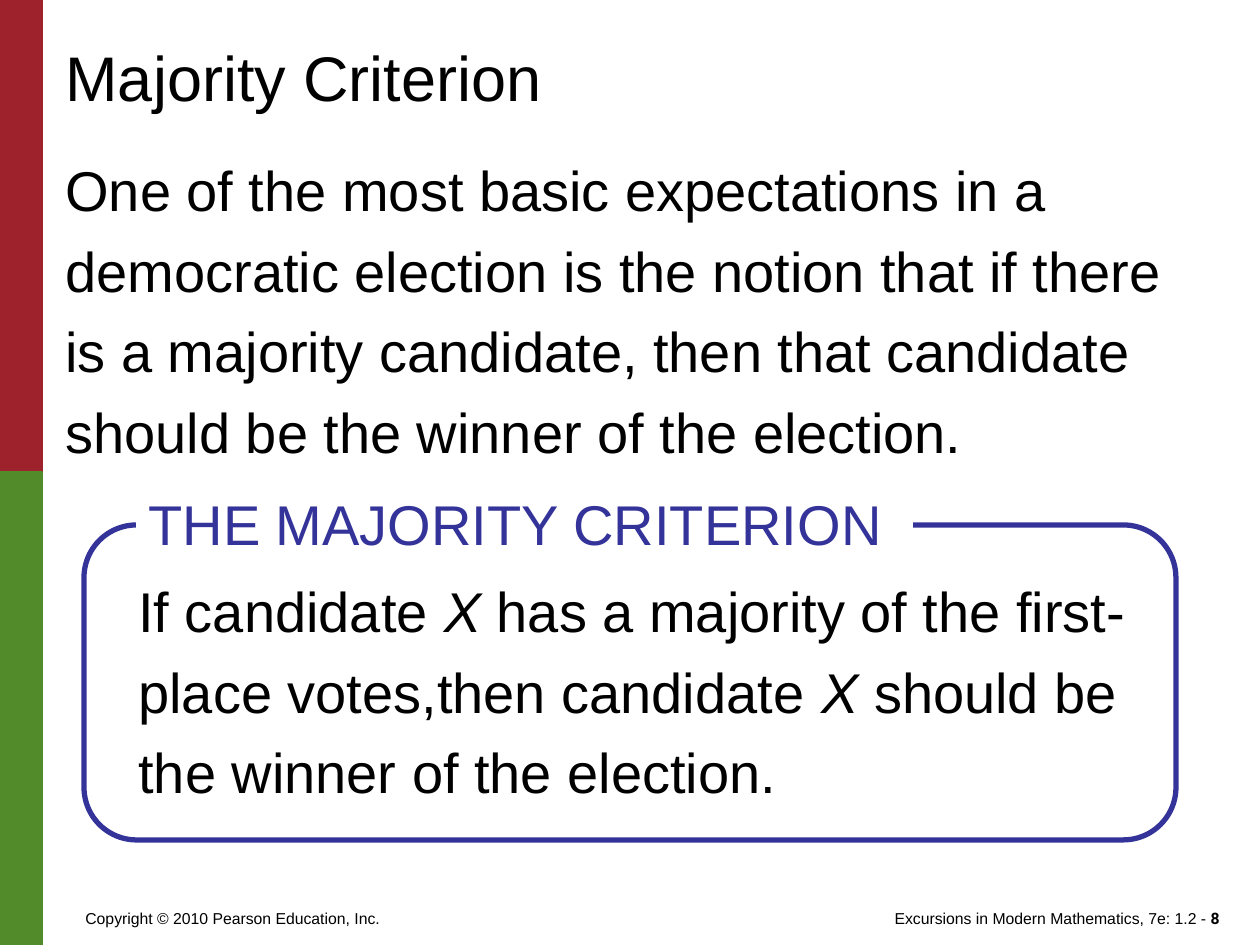
from pptx import Presentation
from pptx import util as u
from pptx.dml.color import RGBColor
from pptx.enum import shapes, text

PX_PER_INCH = 126
BLACK, WHITE, RED, GREEN, BLUE = "000000", "FFFFFF", "9D222B", "528B2A", "333399"


def px(*lengths):
    """Turn whole pixels into EMU lengths."""
    return [u.Emu(round(length * 914400 / PX_PER_INCH)) for length in lengths]


def color(value):
    """Turn a hex string into a colour."""
    return RGBColor.from_string(value)


class SlideBuilder:
    """Hold the style and the current slide."""

    font = "Arial"

    def __init__(self, page):
        """Start drawing on a page."""
        self.page = page

    def fill_text(self, box, spans, size, ink=BLACK, spacing=None, align=text.PP_ALIGN.LEFT):
        """Fill a box with one paragraph of (words, italic, bold, font) spans."""
        frame = box.text_frame
        frame.word_wrap = True
        frame.auto_size = text.MSO_AUTO_SIZE.NONE
        frame.vertical_anchor = text.MSO_ANCHOR.TOP
        para = frame.paragraphs[0]
        para.alignment = align
        if spacing:
            para.line_spacing = spacing
        para.font.name = self.font
        para.font.size = u.Pt(size)
        para.font.color.rgb = color(ink)
        for words, settings in spans:
            span = para.add_run()
            span.text = words
            span.font.italic = settings.get("italic")
            span.font.bold = settings.get("bold")
            if "font" in settings:
                span.font.name = settings["font"]

    def title(self, words, left, top, width, height, size):
        """Place and format the title placeholder."""
        box = self.page.shapes.title
        box.left, box.top, box.width, box.height = px(left, top, width, height)
        self.fill_text(box, [(words, {})], size)

    def label(self, spans, left, top, width, height, size, **style):
        """Add a text box."""
        box = self.page.shapes.add_textbox(*px(left, top, width, height))
        self.fill_text(box, spans, size, **style)

    def shape(self, kind, left, top, width, height, fill=None, line=None, weight=0.75, parent=None):
        """Add a preset shape to the page or to a group."""
        owner = parent or self.page
        shape = owner.shapes.add_shape(kind, *px(left, top, width, height))
        shape.shadow.inherit = False
        if fill:
            shape.fill.solid()
            shape.fill.fore_color.rgb = color(fill)
        else:
            shape.fill.background()
        if line:
            shape.line.color.rgb = color(line)
            shape.line.width = u.Pt(weight)
        else:
            shape.line.fill.background()
        return shape

    def frame(self, left, top, width, height, gap_left, gap_width, gap_height):
        """Add a rounded outline with a gap in its top edge."""
        group = self.page.shapes.add_group_shape()
        outline = self.shape(shapes.MSO_SHAPE.ROUNDED_RECTANGLE, left, top, width, height,
                             line=BLUE, weight=3, parent=group)
        outline.adjustments[0] = 0.167
        self.shape(shapes.MSO_SHAPE.RECTANGLE, gap_left, top - gap_height // 2,
                   gap_width, gap_height, fill=WHITE, parent=group)


def main():
    """Build the majority criterion slide."""
    deck = Presentation()
    deck.slide_width, deck.slide_height = px(1260, 945)
    builder = SlideBuilder(deck.slides.add_slide(deck.slide_layouts[5]))

    builder.label([("Excursions in Modern Mathematics, 7e: 1.2 - ", {}),
                   ("8", {"font": "Roboto", "bold": True})],
                  829, 903, 403, 32, 9, align=text.PP_ALIGN.RIGHT)
    builder.label([("Copyright © 2010 Pearson Education, Inc.", {})], 73, 903, 431, 32, 9)
    for top, fill in ((0, RED), (472, GREEN)):
        builder.shape(shapes.MSO_SHAPE.RECTANGLE, 0, top, 42, 473, fill=fill, line=fill)

    builder.title("Majority Criterion", 53, 32, 1134, 88, 36)
    builder.label([("One of the most basic expectations in a democratic election is the notion "
                    "that if there is a majority candidate, then that candidate should be the "
                    "winner of the election.", {})],
                  53, 136, 1166, 347, 32, spacing=1.2)
    italic = {"italic": True}
    builder.label([("If candidate ", {}), ("X", italic),
                   (" has a majority of the first-place votes,then candidate ", {}),
                   ("X", italic), (" should be the winner of the election.", {})],
                  126, 557, 1050, 325, 32, spacing=1.2)
    builder.frame(84, 525, 1092, 315, gap_left=136, gap_width=777, gap_height=42)
    builder.label([("THE MAJORITY CRITERION", {})], 136, 483, 798, 63, 32, ink=BLUE)

    deck.save("out.pptx")


if __name__ == "__main__":
    main()
